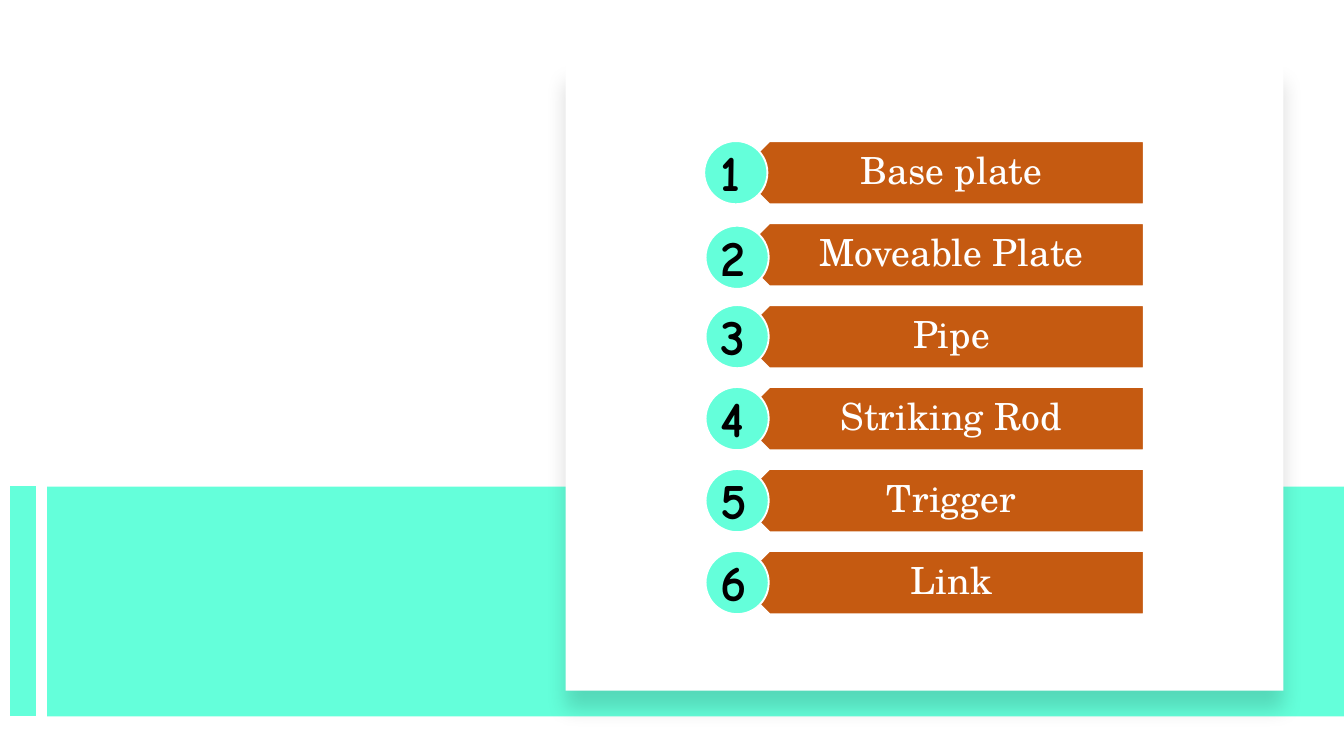
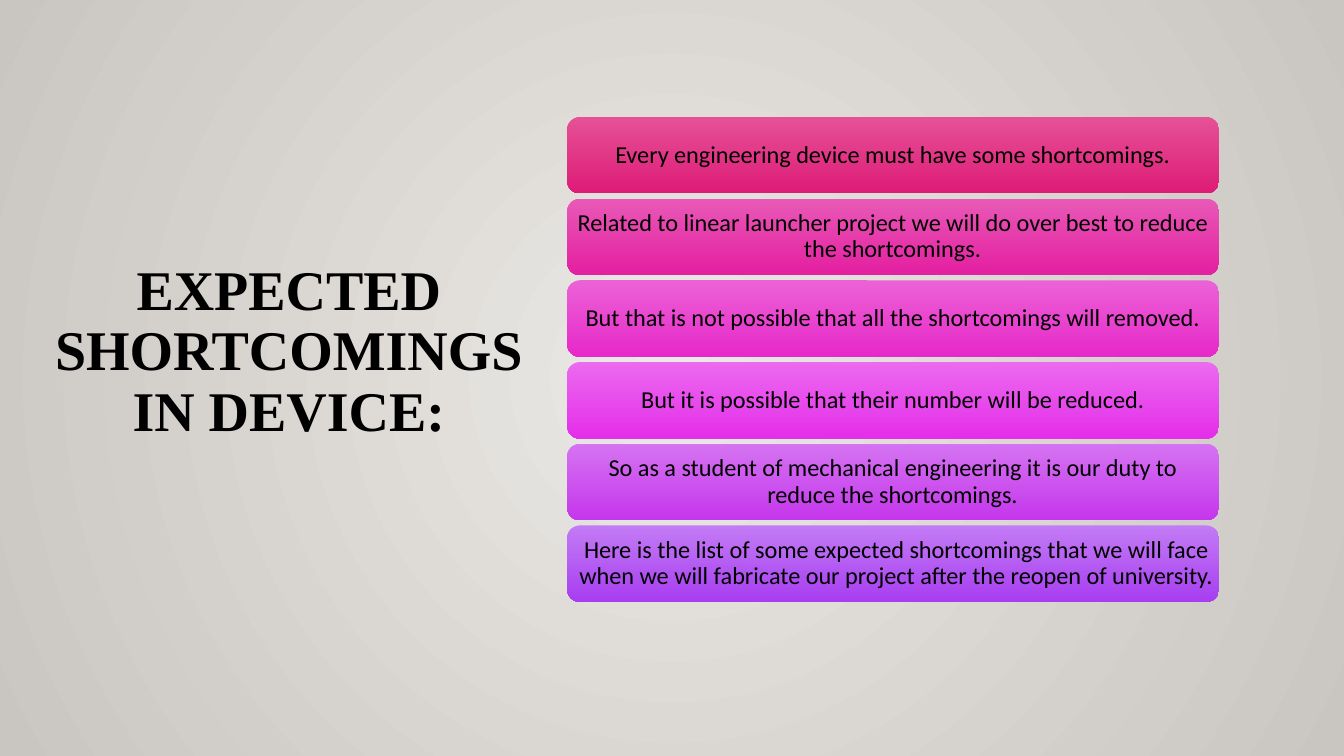
from lxml import etree
from pptx import Presentation
from pptx.dml.color import RGBColor
from pptx.enum import shapes, text
from pptx.oxml import parse_xml
from pptx.oxml.ns import nsdecls, qn
from pptx.util import Inches, Pt

WHITE, BLACK, MINT, RUST, SLATE = "FFFFFF", "000000", "64FFDA", "C55A11", "37474F"
LABEL_FONT, NUMBER_FONT, BODY_FONT, TITLE_FONT = (
    "TeX Gyre Schola", "Comic Neue", "Calibri", "Times New Roman")
WIDTH, HEIGHT = 10, 45 / 8  # 16:9
PART_PITCH = 0.61
BAR_PITCH = 3.04 / 5
SHAPE = shapes.MSO_SHAPE

# Part name and the small drop of its number badge
PARTS = [("Base plate", 0), ("Moveable Plate", 0.02), ("Pipe", 0),
         ("Striking Rod", 0), ("Trigger", 0), ("Link", 0)]

# Sentence, top and bottom shade of its bar, width of its text
SHORTCOMINGS = [
    ("Every engineering device must have some shortcomings.", "E65196", "DE1B77", 4.8),
    ("Related to linear launcher project we will do over best to reduce the shortcomings.",
     "E859B6", "E41FA1", 4.8),
    ("But that is not possible that all the shortcomings will removed.",
     "EC62D6", "E728CA", 4.8),
    ("But it is possible that their number will be reduced.", "EB6AEF", "E52EEA", 4.8),
    ("So as a student of mechanical engineering it is our duty to reduce the shortcomings.",
     "D573F2", "C537EC", 4.8),
    ("Here is the list of some expected shortcomings that we will face when we will "
     "fabricate our project after the reopen of university.", "C37BF5", "A73EF1", 4.85),
]


def rgb(color):
    return RGBColor.from_string(color)


def write(sp, words, size, font, color=BLACK, bold=False, align="CENTER",
          anchor="MIDDLE", spacing=0.9, insets=(0.07, 0.04, 0.07, 0.04)):
    tf = sp.text_frame
    tf.word_wrap = True
    tf.auto_size = text.MSO_AUTO_SIZE.NONE
    tf.vertical_anchor = getattr(text.MSO_ANCHOR, anchor)
    tf.margin_left, tf.margin_top, tf.margin_right, tf.margin_bottom = map(Inches, insets)
    p = tf.paragraphs[0]
    p.alignment = getattr(text.PP_ALIGN, align)
    p.line_spacing = spacing
    r = p.add_run()
    r.text = words
    r.font.size, r.font.name, r.font.bold = Pt(size), font, bold
    r.font.color.rgb = rgb(color)


def paint(fill, color):
    """Fill with one colour, or from top to bottom with a pair of colours."""
    if isinstance(color, str):
        fill.solid()
        fill.fore_color.rgb = rgb(color)
    else:
        fill.gradient()
        fill.gradient_angle = 270
        for stop, c in zip(fill.gradient_stops, color):
            stop.color.rgb = rgb(c)


class Deck:
    def __init__(self):
        self.prs = Presentation()
        self.prs.slide_width, self.prs.slide_height = Inches(WIDTH), Inches(HEIGHT)
        self.s = None

    def add_slide(self, background, titled=False):
        self.s = self.prs.slides.add_slide(self.prs.slide_layouts[5 if titled else 6])
        paint(self.s.background.fill, background)

    def make_background_radial(self):
        grad = next(self.s.element.iter(qn("a:gradFill")))
        grad.replace(grad.find(qn("a:lin")), parse_xml(
            f'<a:path {nsdecls("a")} path="circle">'
            '<a:fillToRect l="50000" t="50000" r="50000" b="50000"/></a:path>'))

    def title(self, words, *box):
        sp = self.s.shapes.title
        sp.left, sp.top, sp.width, sp.height = map(Inches, box)
        write(sp, words, 30, TITLE_FONT, bold=True, anchor="TOP")

    def shape(self, kind, *box, fill, line=None, turn=0, adjust=None):
        sp = self.s.shapes.add_shape(kind, *map(Inches, box))
        sp.shadow.inherit = False
        sp.rotation = turn
        if adjust is not None:
            sp.adjustments[0] = adjust
        paint(sp.fill, fill)
        if line:
            sp.line.color.rgb = rgb(line)
            sp.line.width = Pt(1)
        else:
            sp.line.fill.background()
        return sp

    def card(self, *box):
        """White panel with a soft shadow below it."""
        sp = self.shape(SHAPE.RECTANGLE, *box, fill=WHITE)
        effects = sp.element.spPr.find(qn("a:effectLst"))
        effects.append(parse_xml(
            f'<a:outerShdw {nsdecls("a")} blurRad="{Pt(11)}" dist="{Pt(10)}" dir="5400000">'
            f'<a:srgbClr val="{BLACK}"><a:alpha val="15000"/></a:srgbClr></a:outerShdw>'))

    def line(self, x1, y1, x2, y2, color, width):
        cx = self.s.shapes.add_connector(
            shapes.MSO_CONNECTOR.STRAIGHT, *map(Inches, (x1, y1, x2, y2)))
        cx.line.color.rgb = rgb(color)
        cx.line.width = Pt(width)
        etree.SubElement(cx.element.spPr, qn("a:effectLst"))

    def label(self, words, *box, **style):
        write(self.s.shapes.add_textbox(*map(Inches, box)), words, **style)


def parts_slide(deck):
    deck.add_slide(SLATE)
    deck.shape(SHAPE.RECTANGLE, 0, 0, WIDTH, HEIGHT, fill=WHITE)
    deck.shape(SHAPE.RECTANGLE, 0.35, 3.62, 9.65, 1.71, fill=MINT, turn=180)
    deck.line(0.17, 3.62, 0.17, 5.33, MINT, 14)
    deck.card(4.21, 0.48, 5.34, 4.66)
    for i, (part, drop) in enumerate(PARTS):
        top = 1.05 + i * PART_PITCH
        badge_top = top + drop
        deck.shape(SHAPE.PENTAGON, 5.49, top, 3.02, 0.47, fill=RUST, line=WHITE,
                   turn=180, adjust=0.5)
        deck.label(part, 5.6, top, 2.91, 0.47, size=20, font=LABEL_FONT, color=WHITE,
                   insets=(0.21, 0.08, 0.16, 0.08))
        deck.shape(SHAPE.OVAL, 5.25 if i else 5.24, badge_top, 0.47, 0.47,
                   fill=MINT, line=WHITE)
        deck.label(str(i + 1), 5.29, badge_top - 0.04, 0.38, 0.53, size=27,
                   font=NUMBER_FONT, bold=True, align="LEFT", anchor="TOP", spacing=1.0)


def shortcomings_slide(deck):
    deck.add_slide(("EBE9E6", "C9C5C0"), titled=True)
    deck.make_background_radial()
    deck.title("EXPECTED SHORTCOMINGS IN DEVICE:", 0.28, 1.91, 3.74, 2.19)
    for i, (words, light, dark, width) in enumerate(SHORTCOMINGS):
        top = 0.87 + i * BAR_PITCH
        deck.shape(SHAPE.ROUNDED_RECTANGLE, 4.22, top, 4.85, 0.57,
                   fill=(light, dark), adjust=0.167)
        deck.label(words, 4.24, top + 0.03, width, 0.51, size=13, font=BODY_FONT,
                   insets=(0.05,) * 4)


def main():
    deck = Deck()
    parts_slide(deck)
    shortcomings_slide(deck)
    deck.prs.save("out.pptx")


if __name__ == "__main__":
    main()
